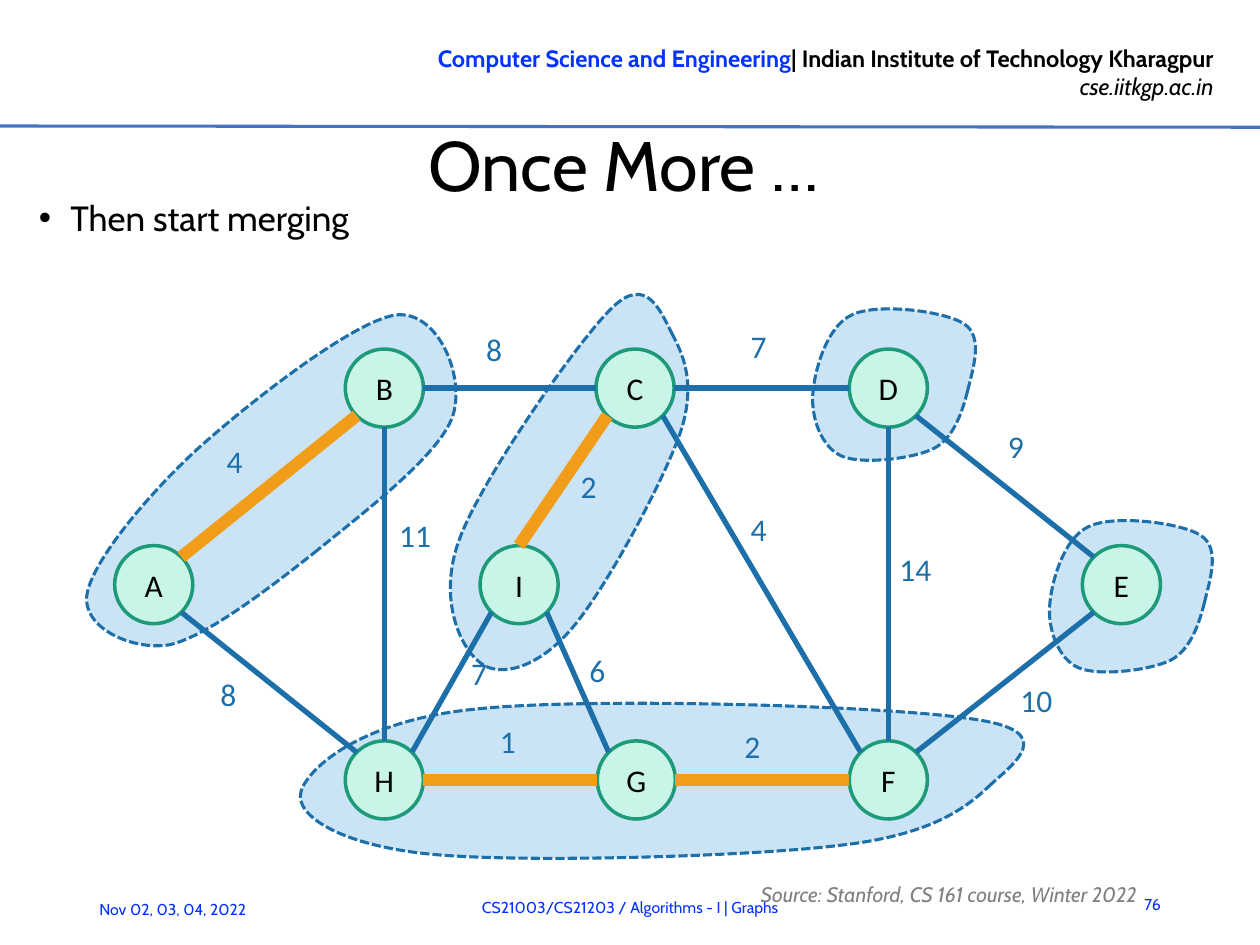
"""Build a slide that shows clusters merging in a weighted graph."""
from math import cos, hypot, radians, sin

from lxml.etree import SubElement
from pptx import Presentation
from pptx.dml.color import RGBColor
from pptx.enum.dml import MSO_LINE
from pptx.enum.shapes import MSO_CONNECTOR, MSO_SHAPE
from pptx.enum.text import MSO_ANCHOR, PP_ALIGN
from pptx.oxml.ns import qn
from pptx.util import Inches, Pt

BLACK = RGBColor(0x00, 0x00, 0x00)
GRAY = RGBColor(0x80, 0x80, 0x80)
LINK_BLUE = RGBColor(0x04, 0x32, 0xFF)
RULE_BLUE = RGBColor(0x44, 0x72, 0xC4)
EDGE_BLUE = RGBColor(0x1D, 0x6F, 0xA9)
CLUSTER_FILL = RGBColor(0xCA, 0xE4, 0xF6)
NODE_FILL = RGBColor(0xC8, 0xF5, 0xE8)
NODE_LINE = RGBColor(0x1D, 0x9A, 0x78)
ORANGE = RGBColor(0xF1, 0x9D, 0x19)


def add_text(left, top, width, height, lines, size, font="Cabin",
             align=PP_ALIGN.LEFT, anchor=MSO_ANCHOR.MIDDLE):
    box = page.shapes.add_textbox(Inches(left), Inches(top), Inches(width), Inches(height))
    frame = box.text_frame
    frame.word_wrap = True
    frame.vertical_anchor = anchor
    for index, runs in enumerate(lines):
        para = frame.add_paragraph() if index else frame.paragraphs[0]
        para.alignment = align
        for text, color, bold, italic in runs:
            span = para.add_run()
            span.text = text
            span.font.name = font
            span.font.size = Pt(size)
            span.font.color.rgb = color
            span.font.bold = bold
            span.font.italic = italic
    return frame


def add_line(start, end, color, width):
    line = page.shapes.add_connector(MSO_CONNECTOR.STRAIGHT, *map(Inches, start + end))
    line.line.color.rgb = color
    line.line.width = Pt(width)
    SubElement(line._element.spPr, qn("a:effectLst"))


deck = Presentation()
deck.slide_width = Inches(10)
deck.slide_height = Inches(7.5)
page = deck.slides.add_slide(deck.slide_layouts[6])

add_text(2.65, 0.3, 7.08, 0.56, [
    [("Computer Science and Engineering", LINK_BLUE, True, False),
     ("| Indian Institute of Technology Kharagpur", BLACK, True, False)],
    [("cse.iitkgp.ac.in", BLACK, False, True)],
], 13.5, align=PP_ALIGN.RIGHT, anchor=MSO_ANCHOR.TOP)
add_line((0, 1), (10, 1.01), RULE_BLUE, 1.75)

add_text(8.82, 6.98, 0.49, 0.4, [[("76", LINK_BLUE, False, False)]], 9, align=PP_ALIGN.RIGHT)
title = add_text(0.32, 0.95, 9.26, 0.68, [[("Once More …", BLACK, False, False)]], 40,
                 align=PP_ALIGN.CENTER)
title.margin_left = title.margin_right = title.margin_bottom = 0
title.margin_top = Inches(0.01)
add_text(0.69, 7.02, 1.75, 0.4, [[("Nov 02, 03, 04, 2022", LINK_BLUE, False, False)]], 9)
add_text(1.65, 7, 6.7, 0.4,
         [[("CS21003/CS21203 / Algorithms - I | Graphs", LINK_BLUE, False, False)]], 9,
         align=PP_ALIGN.CENTER)
credit = add_text(5.94, 6.93, 4.02, 0.23,
                  [[("Source: Stanford, CS 161 course, Winter 2022", GRAY, False, True)]], 12)
credit.paragraphs[0].line_spacing = Pt(21.3)

body = add_text(0.21, 1.61, 9.37, 0.4, [[("Then start merging", BLACK, False, False)]], 20,
                anchor=MSO_ANCHOR.TOP)
bullet_para = body.paragraphs[0]
bullet_para.line_spacing = Pt(17)
bullet_para.space_before = bullet_para.space_after = Pt(2)
properties = bullet_para._p.get_or_add_pPr()
properties.set("marL", str(Inches(0.25)))
properties.set("indent", str(Inches(-0.25)))
SubElement(properties, qn("a:buFont")).set("typeface", "Arial")
SubElement(properties, qn("a:buChar")).set("char", "•")

cluster_e = [
    (9.56, 4.78), (9.6, 4.61), (9.69, 4.35), (9.53, 4.25), (9.38, 4.15), (8.84, 4.08),
    (8.64, 4.18), (8.44, 4.27), (8.34, 4.63), (8.33, 4.82), (8.32, 5), (8.4, 5.23),
    (8.56, 5.3), (8.72, 5.37), (9.13, 5.32), (9.29, 5.24), (9.45, 5.16), (9.52, 4.94)]
cluster_d = [(x - 1.88, y - 1.68) for x, y in cluster_e]
cluster_ci = [
    (5.34, 2.66), (5.25, 2.49), (5.14, 2.17), (4.86, 2.44), (4.58, 2.71), (3.82, 3.81),
    (3.65, 4.27), (3.47, 4.74), (3.65, 5.13), (3.8, 5.25), (3.94, 5.38), (4.24, 5.32),
    (4.51, 5.02), (4.78, 4.73), (5.25, 3.85), (5.39, 3.46), (5.53, 3.07), (5.43, 2.83)]
cluster_ab = [
    (2.49, 4.39), (2.87, 4.08), (3.48, 3.62), (3.59, 3.31), (3.7, 3), (3.48, 2.46),
    (3.14, 2.5), (2.8, 2.55), (1.97, 3.2), (1.56, 3.57), (1.16, 3.94), (0.73, 4.46),
    (0.69, 4.72), (0.65, 4.98), (1.04, 5.16), (1.33, 5.12), (1.61, 5.07), (2.11, 4.69)]
cluster_hgf = [
    (7.85, 6.24), (8.03, 6.07), (8.42, 5.81), (7.74, 5.71), (7.06, 5.6), (4.65, 5.53),
    (3.76, 5.63), (2.87, 5.72), (2.45, 6.09), (2.39, 6.28), (2.33, 6.47), (2.7, 6.71),
    (3.42, 6.78), (4.13, 6.85), (5.93, 6.8), (6.66, 6.71), (7.39, 6.63), (7.67, 6.41)]
clusters = [
    (cluster_e, 8.33, 4.13, 1.29, 1.21, 0), (cluster_d, 6.45, 2.45, 1.29, 1.21, 0),
    (cluster_ci, 2.97, 3.26, 3.17, 1.21, 301.5), (cluster_ab, 1.54, 2.11, 1.29, 3.53, 46.6),
    (cluster_hgf, 2.39, 5.58, 5.74, 1.23, 0)]

for controls, left, top, width, height, rotation in clusters:
    right, bottom = left + width, top + height
    builder = page.shapes.build_freeform(Inches(left), Inches(top))
    builder.add_line_segments([(Inches(x), Inches(y)) for x, y in (
        (right, top), (right, bottom), (left, bottom))])
    cluster = builder.convert_to_shape()
    cluster.rotation = rotation
    cluster.shadow.inherit = False
    cluster.fill.solid()
    cluster.fill.fore_color.rgb = CLUSTER_FILL
    cluster.line.color.rgb = EDGE_BLUE
    cluster.line.width = Pt(1.75)
    cluster.line.dash_style = MSO_LINE.SQUARE_DOT

    cosine, sine = cos(radians(rotation)), sin(radians(rotation))
    points = []
    for x, y in controls + controls[:1]:
        across, down = x - left - width / 2, y - top - height / 2
        points.append((across * cosine + down * sine + width / 2,
                       down * cosine - across * sine + height / 2))
    outline = next(cluster._element.iter(qn("a:path")))
    for segment in list(outline):
        outline.remove(segment)
    curves = [("a:cubicBezTo", points[first:first + 3]) for first in range(1, len(points), 3)]
    for tag, group in [("a:moveTo", points[:1])] + curves + [("a:close", [])]:
        segment = SubElement(outline, qn(tag))
        for x, y in group:
            SubElement(segment, qn("a:pt"), x=str(Inches(x)), y=str(Inches(y)))

RADIUS = 0.31
TOP, MIDDLE, BOTTOM = 3.08, 4.64, 6.19
nodes = {
    "D": (7.05, TOP), "C": (5.04, TOP), "B": (3.05, TOP), "A": (1.22, MIDDLE),
    "H": (3.05, BOTTOM), "G": (5.05, BOTTOM), "F": (7.05, BOTTOM),
    "I": (4.12, MIDDLE), "E": (8.9, MIDDLE)}
for name, (x, y) in nodes.items():
    node = page.shapes.add_shape(MSO_SHAPE.OVAL, Inches(x - RADIUS), Inches(y - RADIUS),
                                 Inches(2 * RADIUS), Inches(2 * RADIUS))
    node.shadow.inherit = False
    node.fill.solid()
    node.fill.fore_color.rgb = NODE_FILL
    node.line.color.rgb = NODE_LINE
    node.line.width = Pt(2)
    node.text_frame.vertical_anchor = MSO_ANCHOR.MIDDLE
    para = node.text_frame.paragraphs[0]
    para.alignment = PP_ALIGN.CENTER
    span = para.add_run()
    span.text = name
    span.font.name = "Calibri"
    span.font.size = Pt(18)
    span.font.color.rgb = BLACK

directions = {"n": (0, -1), "s": (0, 1), "w": (-1, 0), "e": (1, 0),
              "nw": (-1, -1), "ne": (1, -1), "sw": (-1, 1), "se": (1, 1)}
edges = [
    ("C", "se", "F", "nw", False), ("C", "e", "D", "w", False),
    ("E", "nw", "D", "se", False), ("E", "sw", "F", "ne", False),
    ("D", "s", "F", "n", False), ("I", "se", "G", "nw", False),
    ("G", "e", "F", "w", True), ("I", "n", "C", "sw", True),
    ("B", "e", "C", "w", False), ("A", "ne", "B", "sw", True),
    ("A", "se", "H", "nw", False), ("G", "w", "H", "e", True),
    ("I", "sw", "H", "ne", False), ("H", "n", "B", "s", False)]
for start_name, start_side, end_name, end_side, merged in edges:
    ends = []
    for name, side in ((start_name, start_side), (end_name, end_side)):
        (x, y), (dx, dy) = nodes[name], directions[side]
        reach = RADIUS / hypot(dx, dy)
        ends.append((x + dx * reach, y + dy * reach))
    add_line(*ends, ORANGE if merged else EDGE_BLUE, 7 if merged else 3)

weight_labels = [
    ("7", 5.86, 2.55), ("9", 7.9, 3.34), ("10", 8, 5.36), ("14", 7.04, 4.32),
    ("4", 5.86, 4), ("2", 5.81, 5.72), ("2", 4.51, 3.66), ("1", 3.87, 5.68),
    ("7", 3.64, 5.14), ("6", 4.58, 5.12), ("8", 1.65, 5.31), ("11", 3.07, 4.05),
    ("8", 3.76, 2.57), ("4", 1.7, 3.46)]
for text, left, top in weight_labels:
    add_text(left, top, 0.86, 0.5, [[(text, EDGE_BLUE, False, False)]], 18, "Calibri",
             anchor=MSO_ANCHOR.TOP)

deck.save("out.pptx")
